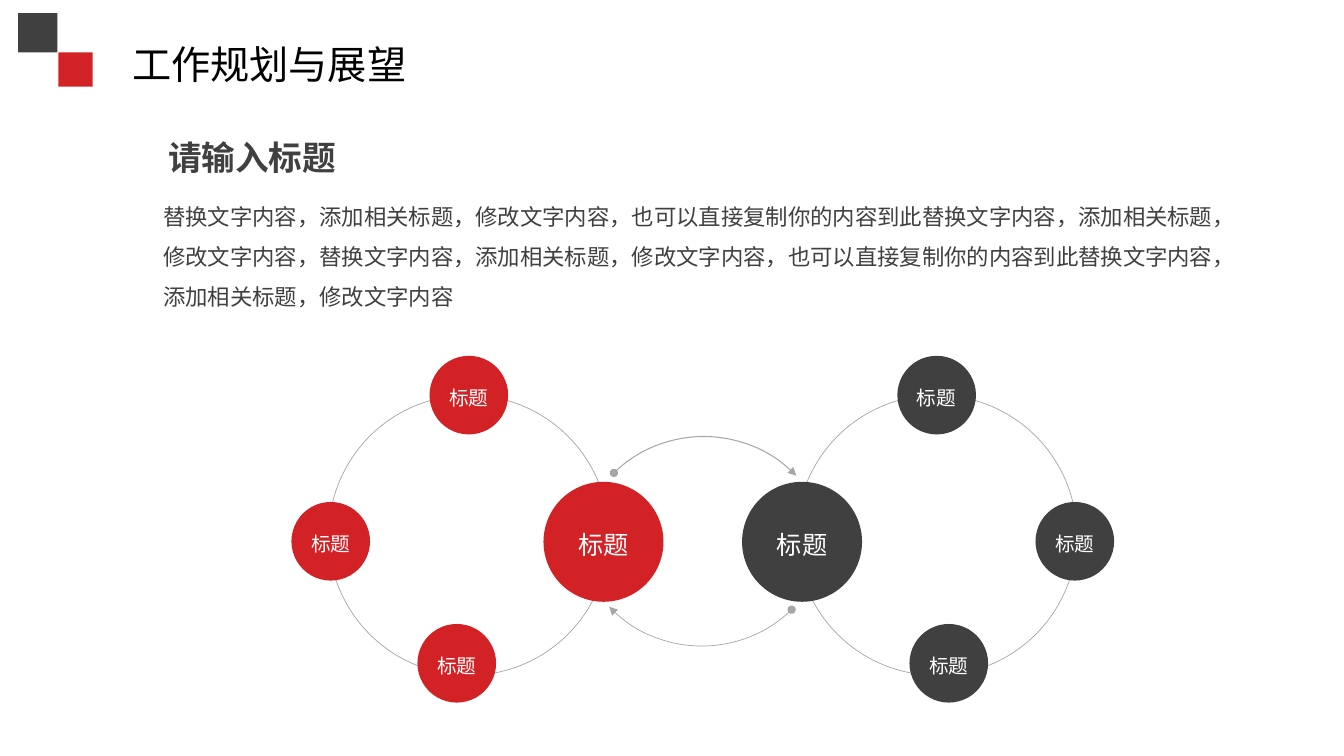
from dataclasses import dataclass

from lxml.etree import SubElement
from pptx import Presentation
from pptx.dml.color import RGBColor
from pptx.enum.lang import MSO_LANGUAGE_ID
from pptx.enum.shapes import MSO_SHAPE
from pptx.enum.text import MSO_ANCHOR, MSO_AUTO_SIZE, PP_ALIGN
from pptx.oxml.ns import qn
from pptx.shapes.autoshape import Shape
from pptx.slide import Slide
from pptx.text.text import TextFrame
from pptx.util import Pt

EMU_PER_PX = 9144
MIRROR_SUM = 1394


@dataclass(frozen=True)
class Theme:
    font: str = "Arial"
    black: str = "000000"
    dark: str = "404040"
    red: str = "D22226"
    grey: str = "A6A6A6"
    white: str = "FFFFFF"
    title_size: int = 28
    heading_size: int = 24
    body_size: int = 16
    hub_size: int = 18
    node_size: int = 14


THEME = Theme()


@dataclass(frozen=True)
class Box:
    left: int
    top: int
    width: int
    height: int

    def mirrored(self) -> "Box":
        """Return the box reflected across the axis of the diagram."""
        return Box(MIRROR_SUM - self.left - self.width, self.top, self.width, self.height)

    def emu(self) -> tuple[int, ...]:
        """Return the position and size in EMU."""
        return tuple(px * EMU_PER_PX for px in (self.left, self.top, self.width, self.height))


@dataclass(frozen=True)
class Label:
    text: str
    size: int
    color: str
    bold: bool = False
    align: PP_ALIGN = PP_ALIGN.CENTER
    spacing: float = 1.0


@dataclass(frozen=True)
class Node:
    box: Box
    size: int


@dataclass(frozen=True)
class Arc:
    box: Box
    rotation: float
    weight: float


RING = Box(326, 392, 278, 278)
NODES = (
    Node(Box(539, 478, 119, 119), THEME.hub_size),
    Node(Box(289, 498, 78, 78), THEME.node_size),
    Node(Box(426, 353, 78, 78), THEME.node_size),
    Node(Box(414, 619, 78, 78), THEME.node_size),
)
ARCS = (
    Arc(Box(570, 433, 256, 256), 315.9, 0.75),
    Arc(Box(568, 385, 256, 256), 135.9, 0.5),
)
BODY = (
    "替换文字内容，添加相关标题，修改文字内容，也可以直接复制你的内容到此"
    "替换文字内容，添加相关标题，修改文字内容，"
    "替换文字内容，添加相关标题，修改文字内容，也可以直接复制你的内容到此"
    "替换文字内容，添加相关标题，修改文字内容"
)


def write(frame: TextFrame, label: Label, anchor: MSO_ANCHOR, flush: bool) -> None:
    """Fill a text frame with one styled paragraph."""
    frame.word_wrap = True
    frame.vertical_anchor = anchor
    if flush:
        frame.margin_left = frame.margin_right = frame.margin_top = frame.margin_bottom = 0
    para = frame.paragraphs[0]
    para.text = label.text
    para.alignment = label.align
    para.line_spacing = label.spacing
    font = para.font
    font.name = THEME.font
    font.size = Pt(label.size)
    font.bold = label.bold
    font.color.rgb = RGBColor.from_string(label.color)
    font.language_id = MSO_LANGUAGE_ID.SIMPLIFIED_CHINESE


def add_text(page: Slide, box: Box, label: Label, flush: bool = False,
             anchor: MSO_ANCHOR = MSO_ANCHOR.TOP, grow: bool = True) -> None:
    """Add a text box."""
    frame = page.shapes.add_textbox(*box.emu()).text_frame
    write(frame, label, anchor, flush)
    frame.auto_size = MSO_AUTO_SIZE.SHAPE_TO_FIT_TEXT if grow else MSO_AUTO_SIZE.NONE


def add_filled(page: Slide, kind: MSO_SHAPE, box: Box, color: str) -> Shape:
    """Add a filled shape without an outline."""
    shape = page.shapes.add_shape(kind, *box.emu())
    shape.shadow.inherit = False
    shape.fill.solid()
    shape.fill.fore_color.rgb = RGBColor.from_string(color)
    shape.line.fill.background()
    return shape


def add_outline(page: Slide, kind: MSO_SHAPE, box: Box, weight: float) -> Shape:
    """Add an unfilled shape with a grey outline."""
    shape = page.shapes.add_shape(kind, *box.emu())
    shape.shadow.inherit = False
    shape.fill.background()
    shape.line.color.rgb = RGBColor.from_string(THEME.grey)
    shape.line.width = Pt(weight)
    return shape


def add_arc(page: Slide, arc: Arc) -> None:
    """Add a quarter arc that runs from a dot to an arrowhead."""
    shape = add_outline(page, MSO_SHAPE.ARC, arc.box, arc.weight)
    shape.rotation = arc.rotation
    line = shape.line._get_or_add_ln()
    SubElement(line, qn("a:headEnd"), type="oval")
    SubElement(line, qn("a:tailEnd"), type="triangle")


def add_cycle(page: Slide, color: str, mirror: bool) -> None:
    """Add a ring with its hub and three outer nodes."""
    ring = RING.mirrored() if mirror else RING
    add_outline(page, MSO_SHAPE.OVAL, ring, 0.5)
    for node in NODES:
        box = node.box.mirrored() if mirror else node.box
        circle = add_filled(page, MSO_SHAPE.OVAL, box, color)
        label = Label("标题", node.size, THEME.white, spacing=1.2)
        write(circle.text_frame, label, MSO_ANCHOR.MIDDLE, flush=True)


def main() -> None:
    """Build the slide and save the deck."""
    deck = Presentation()
    deck.slide_width, deck.slide_height = 1333 * EMU_PER_PX, 750 * EMU_PER_PX
    page = deck.slides.add_slide(deck.slide_layouts[6])
    add_text(page, Box(108, 36, 318, 55), Label("工作规划与展望", THEME.title_size, THEME.black),
             anchor=MSO_ANCHOR.MIDDLE, grow=False)
    add_filled(page, MSO_SHAPE.RECTANGLE, Box(18, 13, 39, 39), THEME.dark)
    add_filled(page, MSO_SHAPE.RECTANGLE, Box(58, 52, 34, 34), THEME.red)
    add_text(page, Box(120, 136, 260, 40),
             Label("请输入标题", THEME.heading_size, THEME.dark, bold=True), flush=True)
    add_text(page, Box(152, 183, 1102, 131),
             Label(BODY, THEME.body_size, THEME.dark, align=PP_ALIGN.LEFT, spacing=1.5))
    add_cycle(page, THEME.red, mirror=False)
    add_cycle(page, THEME.dark, mirror=True)
    for arc in ARCS:
        add_arc(page, arc)
    deck.save("out.pptx")


if __name__ == "__main__":
    main()
